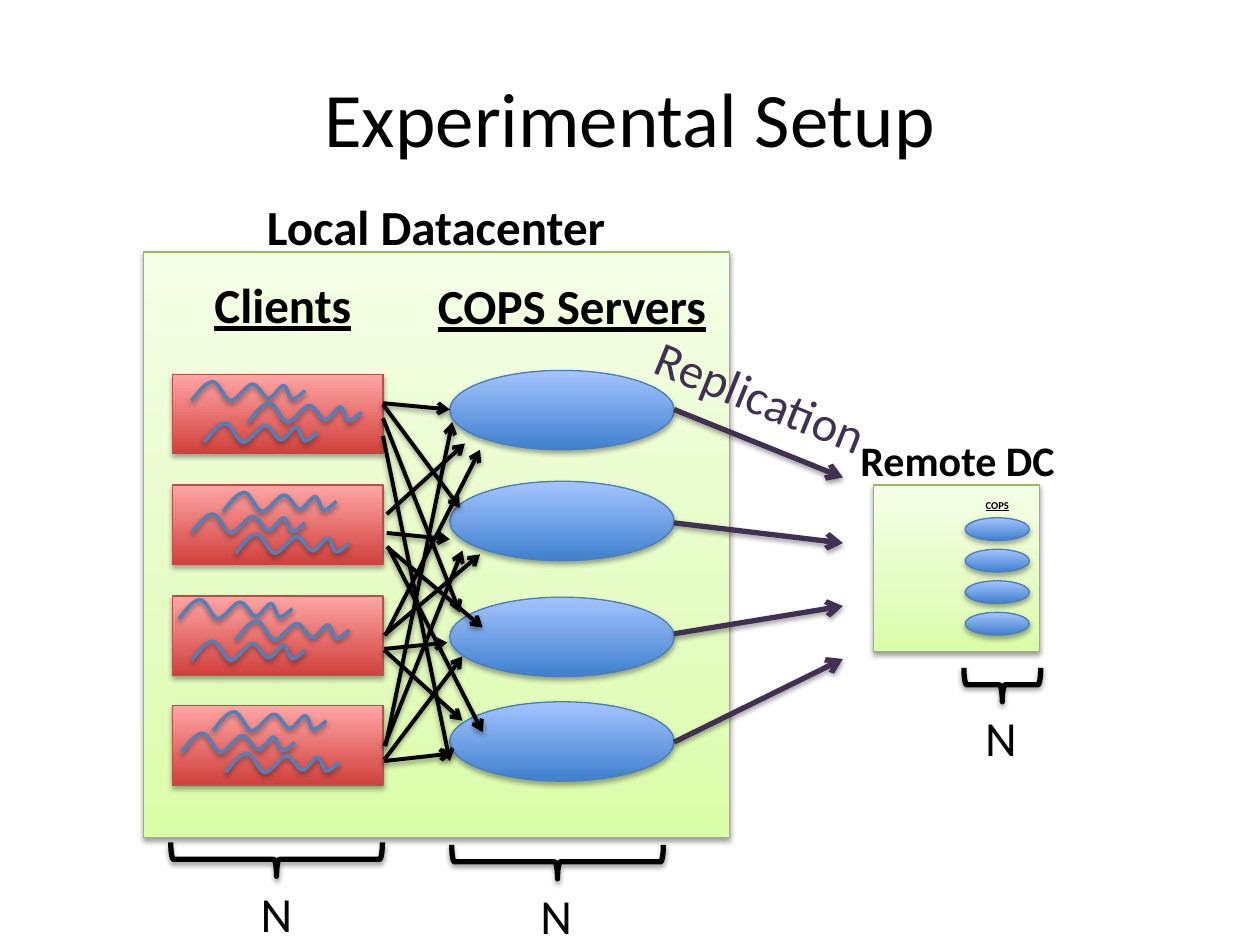
"""Build the Experimental Setup slide: local datacenter replicating to a remote one."""
from copy import deepcopy

from lxml.etree import SubElement
from pptx import Presentation
from pptx.dml.color import RGBColor
from pptx.enum.shapes import MSO_CONNECTOR as Connector, MSO_SHAPE as Shape
from pptx.enum.text import MSO_ANCHOR as Anchor, PP_ALIGN as Align
from pptx.oxml.ns import qn
from pptx.util import Inches, Pt

THEME = {
    "font": "Calibri",
    "ink": "000000",
    "replication": "403152",
    "thread": "4F81BD",
    "datacenter": ([(0, "DAFDA7"), (0.35, "E4FCC2"), (1, "F5FFE7")], "98B955"),
    "server": ([(0, "3F80CE"), (1, "A4C4FF")], "4B7EBC"),
    "client": ([(0, "D1403C"), (1, "FFA6A5")], "BF4C48"),
    "title": 44,
    "heading": 28,
    "remote": 24,
    "tiny": 6,
}


def outline(item, colour, width, opacity=38, drop=1.6):
    item.line.color.rgb = RGBColor.from_string(colour)
    item.line.width = Pt(width)
    effects = SubElement(item._element.spPr, qn("a:effectLst"))
    shadow = SubElement(effects, qn("a:outerShdw"), blurRad=str(Pt(3.1)),
                        dist=str(Pt(drop)), dir="5400000", rotWithShape="0")
    black = SubElement(shadow, qn("a:srgbClr"), val=THEME["ink"])
    SubElement(black, qn("a:alpha"), val=str(opacity * 1000))


def write(frame, wording, size, align=Align.CENTER, colour="ink", bold=False, underline=False,
          wrap=True):
    frame.word_wrap = wrap
    paragraph = frame.paragraphs[0]
    paragraph.alignment = align
    run = paragraph.add_run()
    run.text = wording
    run.font.name = THEME["font"]
    run.font.size = Pt(THEME[size])
    run.font.color.rgb = RGBColor.from_string(THEME[colour])
    run.font.bold = bold
    run.font.underline = underline


deck = Presentation()
deck.slide_width, deck.slide_height = Inches(10), Inches(7.5)
slide = deck.slides.add_slide(deck.slide_layouts[5])
shapes = slide.shapes

title = shapes.title
title.left, title.top, title.width, title.height = map(Inches, (0.5, 0.3, 9, 1.25))
title.text_frame.vertical_anchor = Anchor.MIDDLE
write(title.text_frame, "Experimental Setup", "title")

nodes = [
    (Shape.RECTANGLE, "datacenter", (1.14, 2, 4.65, 4.65)),
    (Shape.RECTANGLE, "datacenter", (6.93, 3.85, 1.32, 1.32)),
]
nodes += [(Shape.OVAL, "server", (7.66, 4.11 + 0.25 * row, 0.51, 0.18)) for row in range(4)]
nodes += [(Shape.OVAL, "server", (3.57, top, 1.78, 0.63)) for top in (2.94, 3.82, 4.74, 5.57)]
nodes += [(Shape.RECTANGLE, "client", (1.37, top, 1.67, 0.63)) for top in (2.97, 3.85, 4.73, 5.6)]
for preset, role, box in nodes:
    node = shapes.add_shape(preset, *map(Inches, box))
    stops, border = THEME[role]
    node.fill.gradient()
    node.fill.gradient_angle = 90
    stop_list = node._element.spPr.find(".//" + qn("a:gsLst"))
    if len(stops) == 3:
        stop_list.insert(1, deepcopy(stop_list[0]))
    for stop, (position, colour) in zip(node.fill.gradient_stops, stops):
        stop.position = position
        stop.color.rgb = RGBColor.from_string(colour)
    if role == "datacenter":
        outline(node, border, 0.75)
    else:
        outline(node, border, 0.75, 35, 1.8)

wave = [
    (0.06, 0.08), (0.11, 0), (0.17, 0),
    (0.22, 0), (0.26, 0.14), (0.31, 0.15),
    (0.36, 0.15), (0.44, 0.02), (0.48, 0.02),
    (0.53, 0.01), (0.57, 0.13), (0.61, 0.13),
    (0.65, 0.13), (0.7, 0.03), (0.73, 0.03),
    (0.76, 0.03), (0.77, 0.13), (0.8, 0.14),
    (0.82, 0.14), (0.87, 0.1), (0.9, 0.07),
]
thread_rows = [
    (3.03, (1.52, 1.97, 1.62)),
    (4.76, (1.42, 1.87, 1.52)),
    (3.91, (1.77, 1.52, 1.87)),
    (5.65, (1.69, 1.44, 1.79)),
]
for row_top, lefts in thread_rows:
    for left, drop in zip(lefts, (0, 0.17, 0.33)):
        top = row_top + drop
        builder = shapes.build_freeform(Inches(left), Inches(top + 0.15))
        builder.add_line_segments([(Inches(left + x), Inches(top + y)) for x, y in wave], close=False)
        thread = builder.convert_to_shape()
        segments = list(thread._element.spPr.iter(qn("a:lnTo")))
        track = segments[0].getparent()
        for start in range(0, len(segments), 3):
            bend = SubElement(track, qn("a:cubicBezTo"))
            for segment in segments[start:start + 3]:
                bend.append(segment[0])
                track.remove(segment)
        thread.fill.background()
        outline(thread, THEME["thread"], 2)

replications = [
    (5.35, 3.25, 6.69, 3.79), (5.35, 4.15, 6.69, 4.31),
    (5.35, 5.03, 6.69, 4.81), (5.35, 5.89, 6.69, 5.23),
]
requests = [
    (3.04, 3.46, 3.57, 6.04), (3.04, 3.2, 3.57, 3.25),
    (3.04, 3.21, 3.65, 4.03), (3.04, 3.32, 3.65, 4.86),
    (3.06, 5.92, 3.59, 3.35), (3.05, 6.04, 3.59, 5.98),
    (3.05, 6.03, 3.67, 5.21), (3.05, 5.92, 3.67, 4.37),
    (3.08, 4.34, 3.83, 5.81), (3.07, 4.08, 3.69, 3.52),
    (3.07, 4.23, 3.57, 4.28), (3.07, 4.34, 3.83, 4.98),
    (3.06, 5.04, 3.81, 3.57), (3.05, 5.16, 3.67, 5.72),
    (3.05, 5.15, 3.55, 5.1), (3.05, 5.04, 3.81, 4.4),
]
for routes, role, width in ((replications, "replication", 3), (requests, "ink", 2.25)):
    for route in routes:
        arrow = shapes.add_connector(Connector.STRAIGHT, *map(Inches, route))
        outline(arrow, THEME[role], width)
        SubElement(arrow._element.spPr.find(qn("a:ln")), qn("a:tailEnd"), type="arrow")

for box in ((2.06, 5.98, 0.27, 1.68), (4.29, 6, 0.27, 1.68), (7.82, 5.13, 0.27, 0.61)):
    brace = shapes.add_shape(Shape.LEFT_BRACE, *map(Inches, box))
    brace.rotation = 270
    brace.fill.background()
    outline(brace, THEME["ink"], 3)

headings = [
    ("COPS", (7.56, 3.91, 0.71, 0.16), "tiny", True),
    ("Remote DC", (6.35, 3.4, 2.5, 0.57), "remote", False),
    ("COPS Servers", (3.29, 2.14, 2.5, 0.57), "heading", True),
    ("Clients", (1.3, 2.13, 1.89, 0.57), "heading", True),
    ("Local Datacenter", (1.99, 1.51, 2.94, 0.57), "heading", False),
]
for wording, box, size, underline in headings:
    heading = shapes.add_textbox(*map(Inches, box))
    write(heading.text_frame, wording, size, bold=True, underline=underline)

for left, top, width, wrap in ((1.97, 6.96, 0.46, False), (4.19, 6.98, 0.46, False),
                               (7.72, 5.57, 0.38, True)):
    count = shapes.add_textbox(*map(Inches, (left, top, width, 0.57)))
    write(count.text_frame, "N", "heading", Align.LEFT, wrap=wrap)

replication = shapes.add_textbox(*map(Inches, (4.79, 2.86, 2.5, 0.57)))
replication.rotation = 22.1
write(replication.text_frame, "Replication", "heading", colour="replication")

deck.save("out.pptx")
